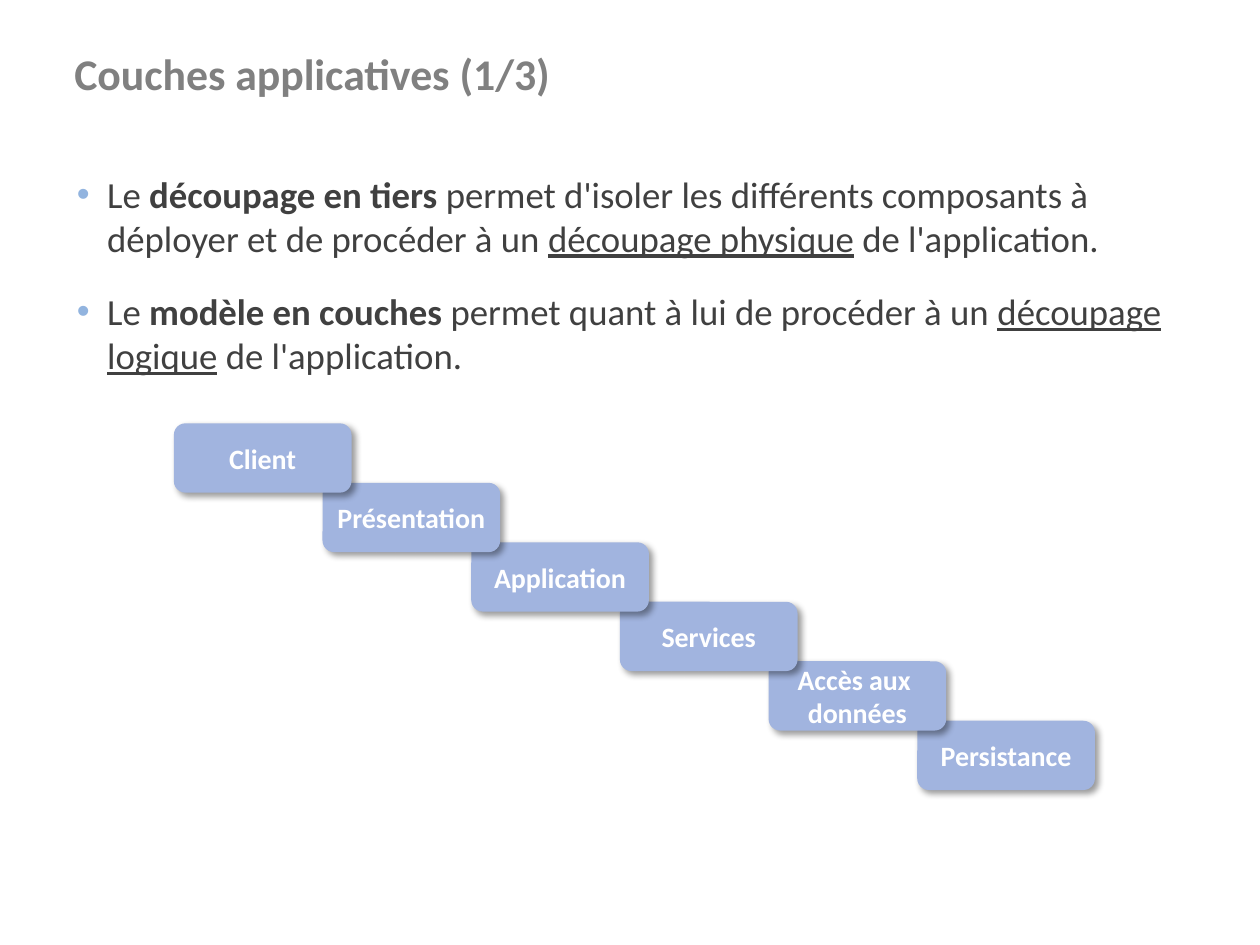
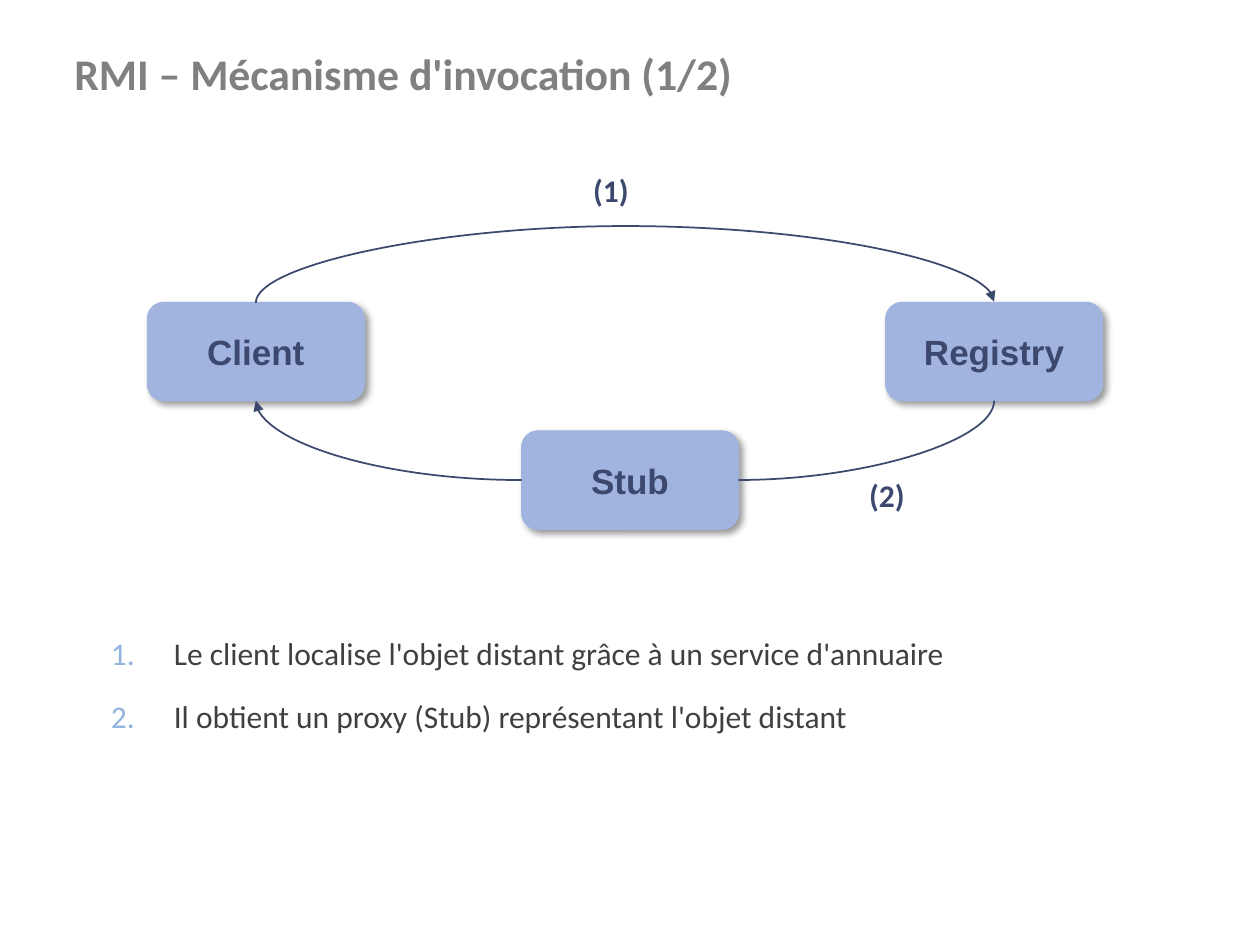
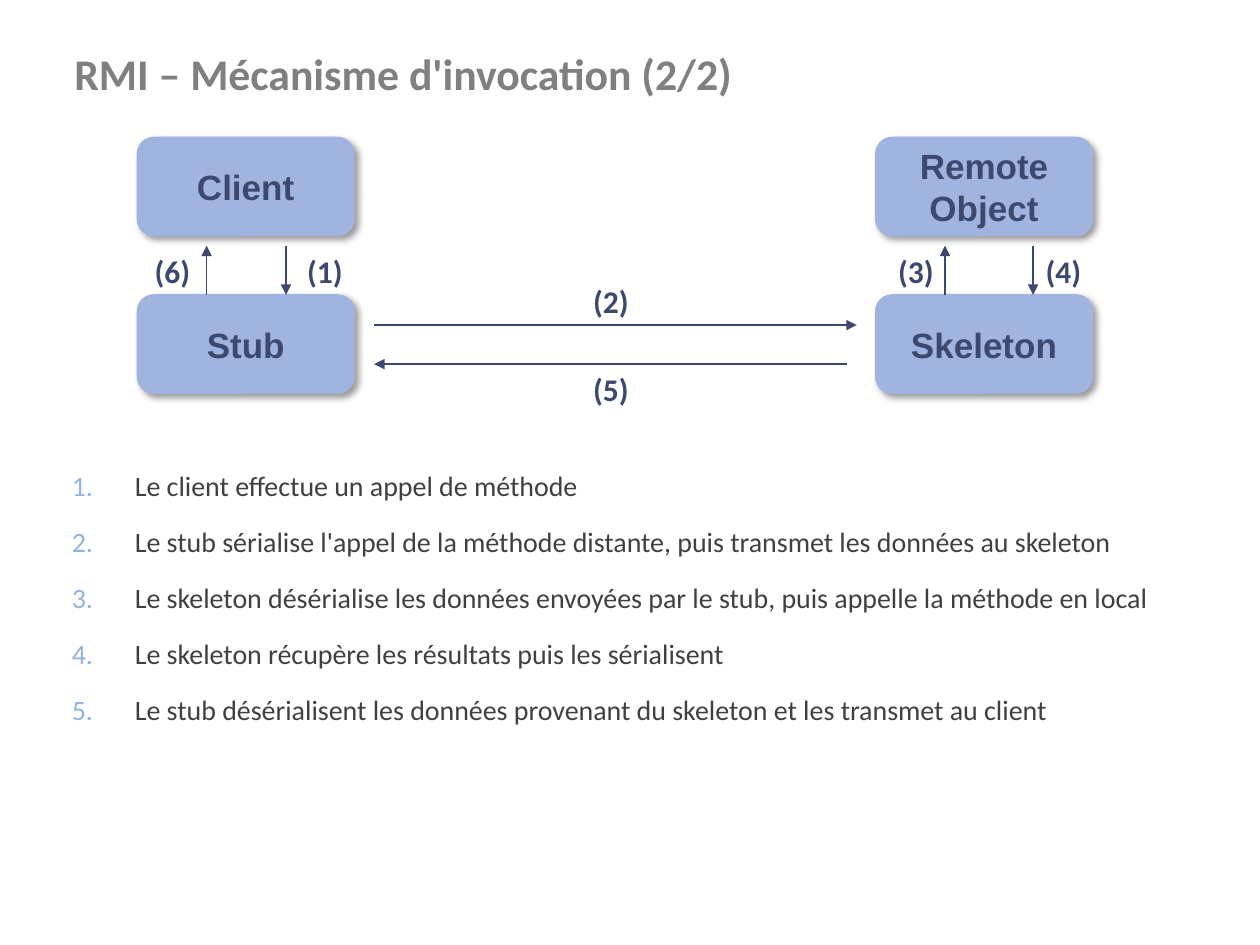
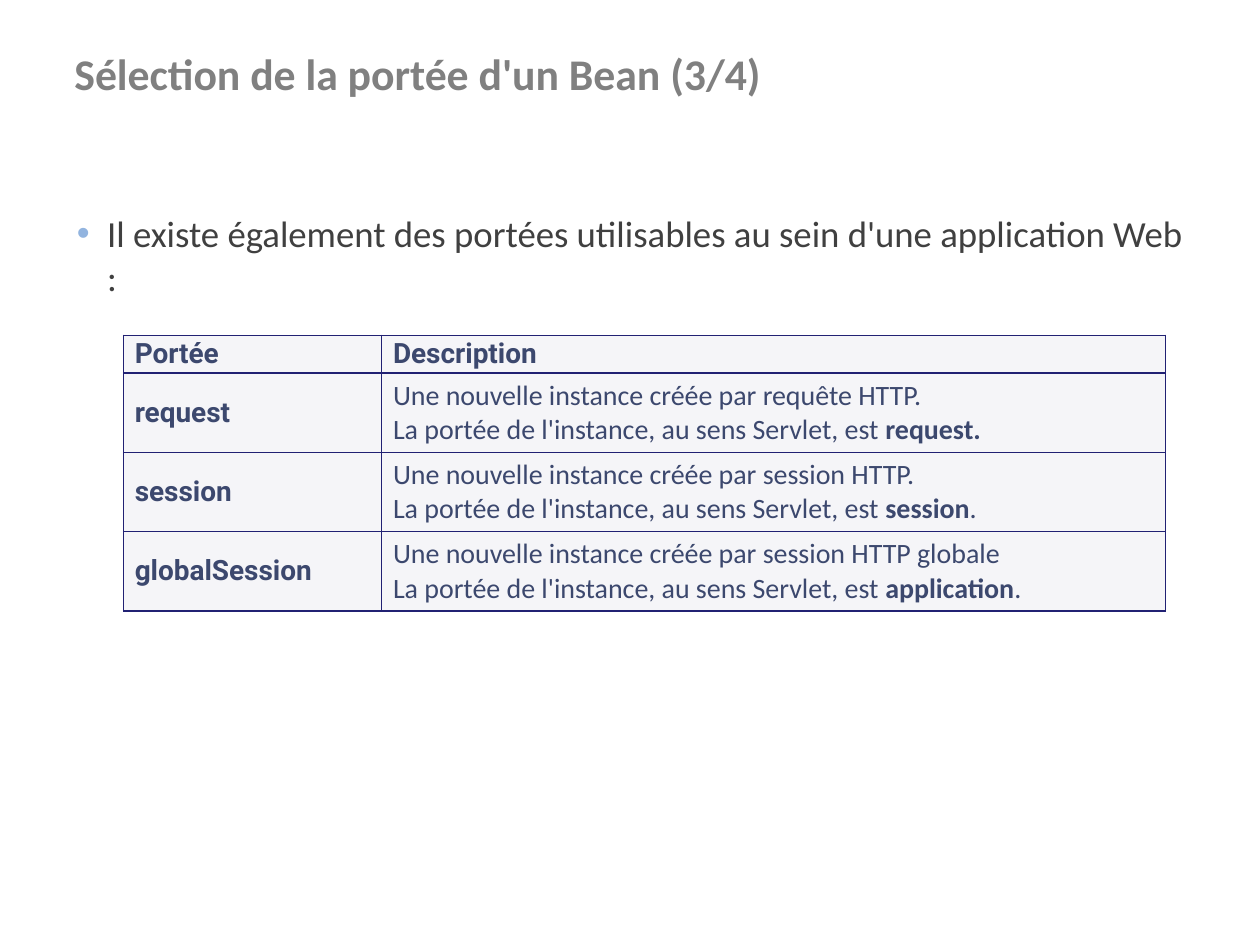
from lxml import etree
from pptx import Presentation
from pptx import util as u
from pptx.dml.color import RGBColor
from pptx.enum import shapes, text
from pptx.oxml import ns

# Shared look
GREY = RGBColor(0x80, 0x80, 0x80)
DARK = RGBColor(0x40, 0x40, 0x40)
NAVY = RGBColor(0x3C, 0x48, 0x6E)
BLUE = RGBColor(0xA1, 0xB4, 0xDF)
BULLET = RGBColor(0x92, 0xB4, 0xDF)
BORDER = RGBColor(0x21, 0x21, 0x73)
PALE = RGBColor(0xF5, 0xF5, 0xF8)
WHITE = RGBColor(0xFF, 0xFF, 0xFF)
BLACK = RGBColor(0, 0, 0)
WIDTH, HEIGHT = 10, 7.5
TITLE_BOX = (0.49, 0.32, 9.01, 0.64)

# Content: a paragraph is a list of (text, style), style "b" bold or "u" underlined
LAYERS_TEXT = [
    [("Le ", ""), ("découpage en tiers", "b"),
     (" permet d'isoler les différents composants à déployer et de procéder à un ", ""),
     ("découpage physique", "u"), (" de l'application.", "")],
    [("Le ", ""), ("modèle en couches", "b"),
     (" permet quant à lui de procéder à un ", ""),
     ("découpage logique", "u"), (" de l'application.", "")],
]
LAYERS = ["Client", "Présentation", "Application", "Services",
          "Accès aux \ndonnées", "Persistance"]
LOOKUP_STEPS = [
    "Le client localise l'objet distant grâce à un service d'annuaire",
    "Il obtient un proxy (Stub) représentant l'objet distant",
]
CALL_STEPS = [
    "Le client effectue un appel de méthode",
    "Le stub sérialise l'appel de la méthode distante, puis transmet les données au skeleton",
    "Le skeleton désérialise les données envoyées par le stub, puis appelle la méthode en local",
    "Le skeleton récupère les résultats puis les sérialisent",
    "Le stub désérialisent les données provenant du skeleton et les transmet au client",
]
SCOPE_TEXT = ["Il existe également des portées utilisables au sein d'une application Web :"]
SCOPE_HEAD = ("Portée", "Description")
SCOPE_START = "La portée de l'instance, au sens Servlet, est "
SCOPES = [  # name, first line, scope in bold, end
    ("request", "Une nouvelle instance créée par requête HTTP.", "request.", ""),
    ("session", "Une nouvelle instance créée par session HTTP.", "session", "."),
    ("globalSession", "Une nouvelle instance créée par session HTTP globale", "application", "."),
]

# Geometry in inches
STEP_W, STEP_H = 1.41, 0.55
NODE_W, NODE_H = 1.72, 0.78


def inches(*values):
    return [u.Inches(v) for v in values]


def add_xml(parent, tag, **attrs):
    return etree.SubElement(parent, ns.qn(tag), {k: str(v) for k, v in attrs.items()})


def set_font(p, size, color, name="Calibri", bold=False):
    f = p.font
    f.size, f.name, f.bold = u.Pt(size), name, bold
    f.color.rgb = color


def add_runs(p, content):
    for words, style in [(content, "")] if isinstance(content, str) else content:
        r = p.add_run()
        r.text = words
        if style == "b":
            r.font.bold = True
        elif style == "u":
            r.font.underline = True


def place(sp, box):
    sp.left, sp.top, sp.width, sp.height = inches(*box)


def new_slide(prs, title, body, box, size, numbered=False):
    """Add a slide with its title and its bulleted or numbered list."""
    slide = prs.slides.add_slide(prs.slide_layouts[1])
    head, listing = slide.placeholders[0], slide.placeholders[1]
    place(head, TITLE_BOX)
    place(listing, box)
    for sp in (head, listing):
        sp.text_frame.word_wrap = True
        sp.text_frame.auto_size = text.MSO_AUTO_SIZE.NONE
        sp.text_frame.vertical_anchor = text.MSO_ANCHOR.TOP
    head.text_frame.text = title
    p = head.text_frame.paragraphs[0]
    p.alignment = text.PP_ALIGN.LEFT
    set_font(p, 25, GREY, bold=True)

    indent = u.Inches(0.5 if numbered else 0.24)
    tf = listing.text_frame
    for i, content in enumerate(body):
        p = tf.add_paragraph() if i else tf.paragraphs[0]
        add_runs(p, content)
        set_font(p, size, DARK)
        p.space_before = u.Pt(0.6 * size if i else 0)
        p.space_after = u.Pt(0.2 * size)
        pPr = p._p.get_or_add_pPr()
        pPr.set("marL", str(indent))
        pPr.set("indent", str(-indent))
        marks = [etree.Element(ns.qn("a:buClr"))]
        add_xml(marks[0], "a:srgbClr", val=BULLET)
        if numbered:
            marks.append(etree.Element(ns.qn("a:buAutoNum"), type="arabicPeriod"))
        else:
            marks.append(etree.Element(ns.qn("a:buFont"), typeface="Arial"))
            marks.append(etree.Element(ns.qn("a:buChar"), char="•"))
        after_spacing = list(pPr).index(pPr.find(ns.qn("a:spcAft"))) + 1
        pPr[after_spacing:after_spacing] = marks
    return slide


def add_box(slide, words, box, size, color, font, outlined=True):
    """Rounded box with a soft shadow to the lower right."""
    sp = slide.shapes.add_shape(shapes.MSO_SHAPE.ROUNDED_RECTANGLE, *inches(*box))
    sp.fill.solid()
    sp.fill.fore_color.rgb = BLUE
    if outlined:
        sp.line.color.rgb = BLUE
        sp.line.width = u.Pt(0.75)
    else:
        sp.line.fill.background()
    sp.shadow.inherit = False
    effects = sp._element.spPr.find(ns.qn("a:effectLst"))
    shadow = add_xml(effects, "a:outerShdw", blurRad=u.Pt(4), dist=u.Pt(3),
                     dir=45 * 60000, algn="tl", rotWithShape=0)
    add_xml(add_xml(shadow, "a:srgbClr", val=BLACK), "a:alpha", val=40000)
    tf = sp.text_frame
    tf.word_wrap = outlined
    tf.vertical_anchor = text.MSO_ANCHOR.MIDDLE
    tf.text = words
    for p in tf.paragraphs:
        p.alignment = text.PP_ALIGN.CENTER
        set_font(p, size, color, font, bold=True)


def add_nodes(slide, nodes):
    for words, x, y in nodes:
        add_box(slide, words, (x, y, NODE_W, NODE_H), 20, NAVY, "Arial")


def add_labels(slide, labels):
    for words, x, y in labels:
        tf = slide.shapes.add_textbox(*inches(x, y, 0.63, 0.4)).text_frame
        tf.word_wrap = True
        tf.text = words
        set_font(tf.paragraphs[0], 18, NAVY, bold=True)


def add_line(slide, ends, width=1, arrow=True, kind=shapes.MSO_CONNECTOR.STRAIGHT):
    c = slide.shapes.add_connector(kind, *inches(*ends))
    c.line.color.rgb = NAVY
    c.line.width = u.Pt(width)
    if arrow:
        add_xml(c.line._get_or_add_ln(), "a:tailEnd", type="triangle")
    add_xml(c._element.spPr, "a:effectLst")
    return c


def add_curve(slide, ends, preset, turn, arrow=True, flip=False, bend=None):
    """Curved connector: its box is centred between the ends, then turned."""
    x1, y1, x2, y2 = ends
    w, h = abs(x2 - x1), max(abs(y2 - y1), 0.01)
    if turn == 90:
        w, h = h, w
    left, top = (x1 + x2 - w) / 2, (y1 + y2 - h) / 2
    c = add_line(slide, (left, top, left + w, top + h), arrow=arrow,
                 kind=shapes.MSO_CONNECTOR.CURVE)
    spPr = c._element.spPr
    xfrm, geom = spPr.find(ns.qn("a:xfrm")), spPr.find(ns.qn("a:prstGeom"))
    xfrm.set("rot", str(turn * 60000))
    if flip:
        xfrm.set("flipH", "1")
        xfrm.set("flipV", "1")
    geom.set("prst", preset)
    if bend:
        guides = geom.find(ns.qn("a:avLst"))
        if guides is None:
            guides = add_xml(geom, "a:avLst")
        add_xml(guides, "a:gd", name="adj1", fmla=f"val {bend * 100000}")


def layers_slide(prs):
    slide = new_slide(prs, "Couches applicatives (1/3)", LAYERS_TEXT,
                      (0.51, 1.31, 9, 4.88), 21)
    # Staircase, each step lying over the next one
    for i, words in reversed(list(enumerate(LAYERS))):
        add_box(slide, words, (1.38 + 1.18 * i, 3.36 + 0.472 * i, STEP_W, STEP_H),
                16, WHITE, "Calibri", outlined=False)


def lookup_slide(prs):
    slide = new_slide(prs, "RMI – Mécanisme d'invocation (1/2)", LOOKUP_STEPS,
                      (0.78, 4.98, 8.73, 1.35), 18, numbered=True)
    client_x, registry_x, stub_x, top, stub_y = 1.17, 7.03, 4.14, 2.4, 3.42
    add_nodes(slide, [("Stub", stub_x, stub_y), ("Client", client_x, top),
                      ("Registry", registry_x, top)])
    client_mid, registry_mid = client_x + NODE_W / 2, registry_x + NODE_W / 2
    bottom, stub_mid = top + NODE_H, stub_y + NODE_H / 2
    add_curve(slide, (client_mid, top, registry_mid, top),
              "curvedConnector3", 90, flip=True, bend=62)
    add_curve(slide, (registry_mid, bottom, stub_x + NODE_W, stub_mid),
              "curvedConnector2", 90, arrow=False)
    add_curve(slide, (stub_x, stub_mid, client_mid, bottom), "curvedConnector2", 180)
    add_labels(slide, [("(1)", 4.61, 1.31), ("(2)", 6.8, 3.73)])


def call_slide(prs):
    slide = new_slide(prs, "RMI – Mécanisme d'invocation (2/2)", CALL_STEPS,
                      (0.47, 3.67, 9.22, 1.97), 16, numbered=True)
    left, right, top, bottom = 1.09, 6.95, 1.09, 2.34
    add_nodes(slide, [("Stub", left, bottom), ("Client", left, top),
                      ("Skeleton", right, bottom), ("Remote Object", right, top)])
    gap = 1.95
    for x in (2.27, 8.2):  # downward calls
        add_line(slide, (x, gap, x, bottom))
    for x in (1.64, 7.5):  # upward calls
        add_line(slide, (x, bottom, x, gap))
    add_line(slide, (2.97, 2.58, 6.8, 2.58), 0.75)
    add_line(slide, (6.72, 2.89, 2.97, 2.89), 0.75)
    add_labels(slide, [("(1)", 2.34, gap), ("(2)", 4.61, 2.19), ("(3)", 7.03, gap),
                       ("(4)", 8.2, gap), ("(5)", 4.61, 2.89), ("(6)", 1.13, gap)])


def fill_cell(cell, lines, font, bold):
    cell.fill.solid()
    cell.fill.fore_color.rgb = PALE
    cell.vertical_anchor = text.MSO_ANCHOR.MIDDLE
    cell.margin_left, cell.margin_right = inches(0.09, 0.04)
    cell.margin_top = cell.margin_bottom = u.Inches(0.02)
    tf = cell.text_frame
    for i, content in enumerate(lines):
        p = tf.add_paragraph() if i else tf.paragraphs[0]
        add_runs(p, content)
        set_font(p, 16, NAVY, font, bold)
    # Borders come before the fill
    tcPr = cell._tc.get_or_add_tcPr()
    for i, side in enumerate("LRTB"):
        ln = etree.Element(ns.qn(f"a:ln{side}"), w=str(u.Pt(0.75)))
        add_xml(add_xml(ln, "a:solidFill"), "a:srgbClr", val=BORDER)
        tcPr.insert(i, ln)


def scope_slide(prs):
    slide = new_slide(prs, "Sélection de la portée d'un Bean (3/4)", SCOPE_TEXT,
                      (0.51, 1.62, 9, 4.72), 21)
    widths, heights = (2.05, 6.22), [0.3] + [0.63] * len(SCOPES)
    table = slide.shapes.add_table(len(heights), len(widths), *inches(
        0.98, 2.66, sum(widths), sum(heights))).table
    for col, w in zip(table.columns, widths):
        col.width = u.Inches(w)
    for row, h in zip(table.rows, heights):
        row.height = u.Inches(h)
    for j, words in enumerate(SCOPE_HEAD):
        fill_cell(table.cell(0, j), [words], "Roboto", True)
    for i, (name, first, scope, end) in enumerate(SCOPES, 1):
        second = [(SCOPE_START, ""), (scope, "b")] + ([(end, "")] if end else [])
        fill_cell(table.cell(i, 0), [name], "Roboto", True)
        fill_cell(table.cell(i, 1), [first, second], "Calibri", False)


def main():
    prs = Presentation()
    prs.slide_width, prs.slide_height = inches(WIDTH, HEIGHT)
    for build in (layers_slide, lookup_slide, call_slide, scope_slide):
        build(prs)
    prs.save("out.pptx")


if __name__ == "__main__":
    main()
